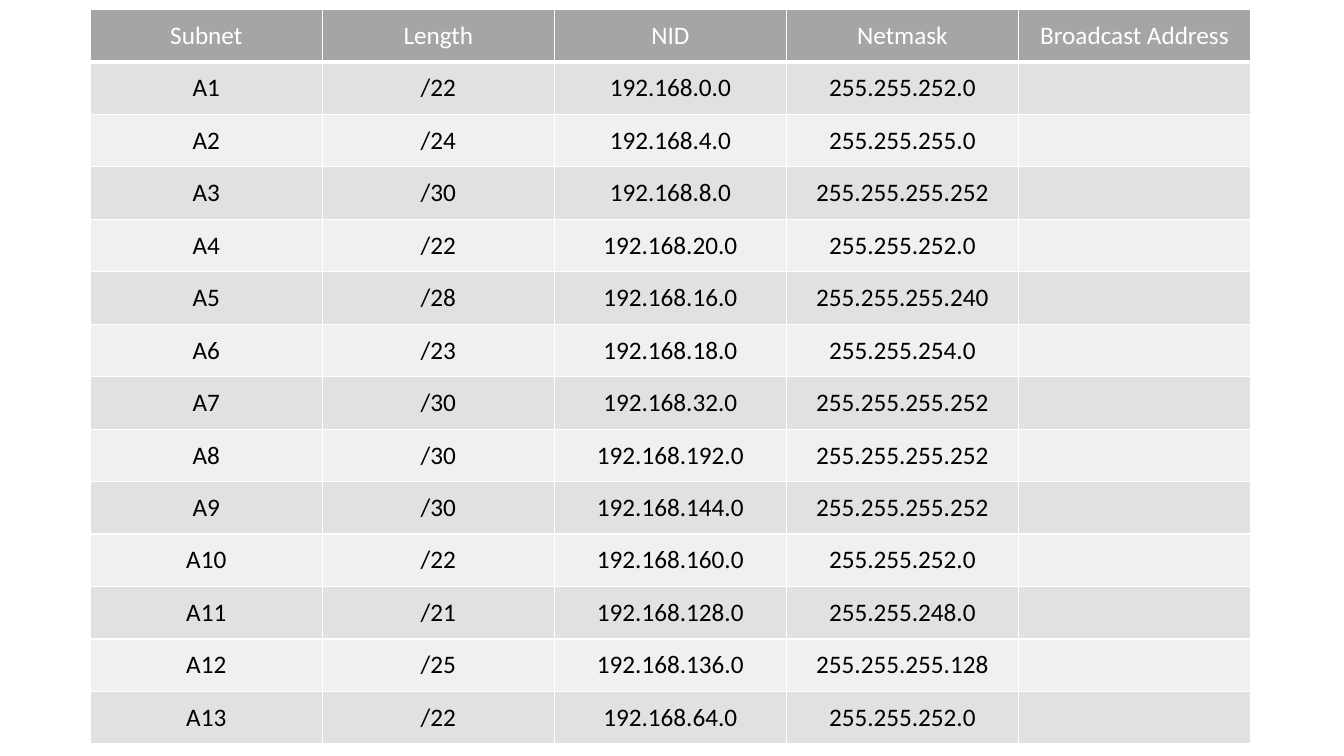
from lxml.etree import SubElement
from pptx import Presentation
from pptx.dml.color import RGBColor
from pptx.enum.text import MSO_ANCHOR as Anchor, PP_ALIGN as Align
from pptx.oxml.ns import qn
from pptx.util import Emu, Pt

EMU_PER_PX = 9525

HEADINGS = ("Subnet", "Length", "NID", "Netmask", "Broadcast Address")
SUBNETS = (
    ("A1", "/22", "192.168.0.0", "255.255.252.0", ""),
    ("A2", "/24", "192.168.4.0", "255.255.255.0", ""),
    ("A3", "/30", "192.168.8.0", "255.255.255.252", ""),
    ("A4", "/22", "192.168.20.0", "255.255.252.0", ""),
    ("A5", "/28", "192.168.16.0", "255.255.255.240", ""),
    ("A6", "/23", "192.168.18.0", "255.255.254.0", ""),
    ("A7", "/30", "192.168.32.0", "255.255.255.252", ""),
    ("A8", "/30", "192.168.192.0", "255.255.255.252", ""),
    ("A9", "/30", "192.168.144.0", "255.255.255.252", ""),
    ("A10", "/22", "192.168.160.0", "255.255.252.0", ""),
    ("A11", "/21", "192.168.128.0", "255.255.248.0", ""),
    ("A12", "/25", "192.168.136.0", "255.255.255.128", ""),
    ("A13", "/22", "192.168.64.0", "255.255.252.0", ""),
)


def px(length):
    return Emu(length * EMU_PER_PX)


def color(hex_string):
    return RGBColor.from_string(hex_string)


class SlideBuilder:
    font_name = "Calibri"
    font_size = 18
    header_fill = "A5A5A5"
    header_text = "FFFFFF"
    band_fills = ("E1E1E1", "F0F0F0")
    body_text = "000000"
    border_color = "FFFFFF"
    border_width = 1
    header_rule_width = 3

    def __init__(self, slide):
        self.slide = slide

    def table(self, rows, left, top, column_width, row_height):
        """Draw rows as a grid of equal cells; the first row is the header."""
        column_count = len(rows[0])
        table = self.slide.shapes.add_table(
            len(rows), column_count, px(left), px(top),
            px(column_width * column_count), px(row_height * len(rows))).table
        table.horz_banding = False
        for column in table.columns:
            column.width = px(column_width)
        for row_index, texts in enumerate(rows):
            table.rows[row_index].height = px(row_height)
            for column_index, text in enumerate(texts):
                self.cell(table.cell(row_index, column_index), text, row_index)

    def cell(self, cell, text, row_index):
        is_header = row_index == 0
        self.borders(cell, row_index)
        cell.fill.solid()
        cell.fill.fore_color.rgb = color(
            self.header_fill if is_header else self.band_fills[(row_index - 1) % 2])
        cell.vertical_anchor = Anchor.MIDDLE
        paragraph = cell.text_frame.paragraphs[0]
        paragraph.alignment = Align.CENTER
        if text:
            run = paragraph.add_run()
            run.text = text
            run.font.name = self.font_name
            run.font.size = Pt(self.font_size)
            run.font.bold = False
            run.font.color.rgb = color(self.header_text if is_header else self.body_text)

    def borders(self, cell, row_index):
        """Line all four sides, thicker where the header meets the body."""
        properties = cell._tc.get_or_add_tcPr()
        for side in "LRTB":
            meets_header = (row_index, side) in ((0, "B"), (1, "T"))
            width = self.header_rule_width if meets_header else self.border_width
            line = SubElement(properties, qn(f"a:ln{side}"), w=str(Pt(width)))
            fill = SubElement(line, qn("a:solidFill"))
            SubElement(fill, qn("a:srgbClr"), val=self.border_color)


def main():
    presentation = Presentation()
    presentation.slide_width = px(1280)
    presentation.slide_height = px(720)
    blank_layout = presentation.slide_layouts[6]
    builder = SlideBuilder(presentation.slides.add_slide(blank_layout))
    builder.table((HEADINGS, *SUBNETS), left=86, top=9, column_width=221, row_height=50)
    presentation.save("out.pptx")


if __name__ == "__main__":
    main()
